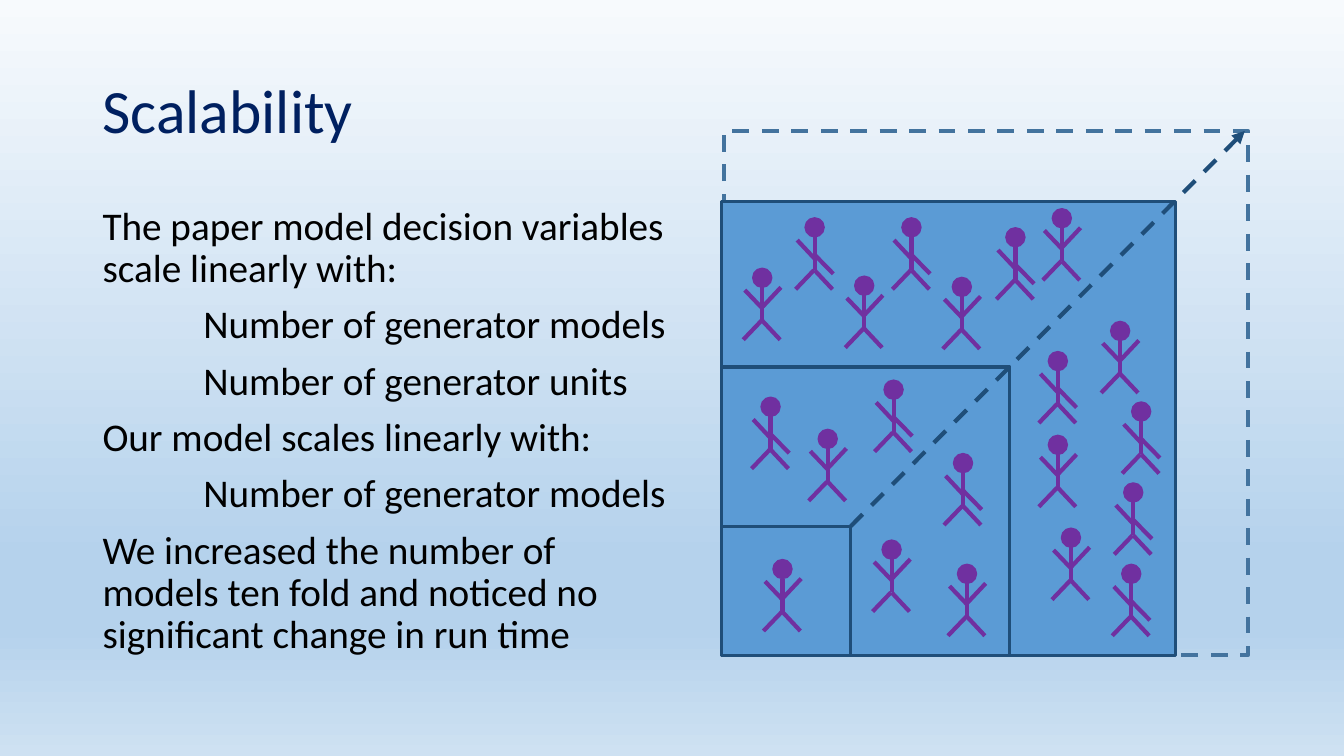
from copy import deepcopy

from pptx import Presentation
from pptx.dml.color import RGBColor
from pptx.enum import dml, shapes, text
from pptx.oxml.ns import qn
from pptx.oxml.xmlchemy import OxmlElement
from pptx.util import Cm, Pt

COLOURS = {
    "title": "002060", "body": "000000", "person": "7030A0",
    "square": "5B9BD5", "edge": "1F4E79", "growth": "43739E",
}
BACKGROUND = [(0, "F7FAFD"), (0.74, "B5D2EC"), (0.83, "B5D2EC"), (1, "CEE1F2")]
FONT = "Calibri"
TITLE = "Scalability"
BODY = [  # indent in cm, wording
    (0, "The paper model decision variables scale linearly with:"),
    (2.54, "Number of generator models"),
    (2.54, "Number of generator units"),
    (0, "Our model scales linearly with:"),
    (2.54, "Number of generator models"),
    (0, "We increased the number of models ten fold and noticed no "
        "significant change in run time"),
]

# All lengths below are in cm.
CORNER_LEFT, CORNER_BOTTOM = 18.19, 16.51
SQUARE_SIDES = [11.43, 7.26, 3.25]
GROWTH_LEFT, GROWTH_SIDE = 18.24, 13.21
ARROW_END = (31.37, 3.3)

HEAD = 0.48
TRUNK_AND_LEGS = [  # limbs as x1, y1, x2, y2 from the head's top left
    (0.24, 0.48, 0.24, 1.32), (0.24, 1.32, 0.69, 1.8), (-0.24, 1.8, 0.22, 1.32),
]
ARMS = {
    "waving": [(0.71, 0.48, 0.25, 0.97), (0.25, 1.02, -0.2, 0.55)],
    "walking": [(0.25, 0.94, 0.71, 1.41), (0.25, 1.04, -0.2, 0.56)],
}
PEOPLE = {  # top left of each head
    "waving": [
        (19.48, 14.1), (20.62, 10.82), (22.23, 13.61), (24.13, 14.22),
        (18.97, 6.76), (26.42, 10.97), (27.99, 8.1), (21.54, 6.96),
        (24, 6.99), (26.52, 5.26), (26.75, 13.31),
    ],
    "walking": [
        (26.42, 8.86), (20.29, 5.49), (28.52, 10.13), (22.73, 5.49),
        (25.35, 5.74), (28.32, 12.17), (28.27, 14.22), (24.03, 11.43),
        (22.28, 9.58), (19.18, 10.01),
    ],
}


def rgb(name):
    return RGBColor.from_string(COLOURS[name])


def style_line(line, colour, width, dashed=False):
    line.color.rgb = rgb(colour)
    line.width = Pt(width)
    if dashed:
        line.dash_style = dml.MSO_LINE.DASH


def add_preset(parent, kind, left, top, side, fill, edge, width, dashed=False):
    """Add a shape as wide as it is high; fill None leaves it hollow."""
    shape = parent.add_shape(kind, Cm(left), Cm(top), Cm(side), Cm(side))
    shape.shadow.inherit = False
    if fill:
        shape.fill.solid()
        shape.fill.fore_color.rgb = rgb(fill)
    else:
        shape.fill.background()
    style_line(shape.line, edge, width, dashed)


def add_straight(parent, ends, colour, dashed=False):
    connector = parent.add_connector(
        shapes.MSO_CONNECTOR.STRAIGHT, *[Cm(value) for value in ends])
    style_line(connector.line, colour, 3, dashed)
    connector._element.spPr.append(OxmlElement("a:effectLst"))
    return connector


def add_person(slide, left, top, pose):
    parts = slide.shapes.add_group_shape().shapes
    add_preset(parts, shapes.MSO_SHAPE.OVAL, left, top, HEAD, "person", "person", 1)
    for x1, y1, x2, y2 in TRUNK_AND_LEGS + ARMS[pose]:
        add_straight(parts, (left + x1, top + y1, left + x2, top + y2), "person")


def set_background(slide):
    fill = slide.background.fill
    fill.gradient()
    fill.gradient_angle = 270
    stop_list = next(slide._element.iter(qn("a:gsLst")))
    while len(stop_list) < len(BACKGROUND):
        stop_list.append(deepcopy(stop_list[0]))
    for stop, (position, colour) in zip(fill.gradient_stops, BACKGROUND):
        stop.position = position
        stop.color.rgb = RGBColor.from_string(colour)


def place(shape, left, top, width, height):
    shape.left, shape.top = Cm(left), Cm(top)
    shape.width, shape.height = Cm(width), Cm(height)
    shape.text_frame.word_wrap = True
    shape.text_frame.auto_size = text.MSO_AUTO_SIZE.NONE


def style_paragraph(paragraph, size, colour):
    paragraph.alignment = text.PP_ALIGN.LEFT
    paragraph.line_spacing = 0.9
    for run in paragraph.runs:
        run.font.name = FONT
        run.font.size = Pt(size)
        run.font.color.rgb = rgb(colour)


def write_text(slide):
    title, body = slide.placeholders
    place(title, 2.33, 1.01, 29.21, 3.68)
    title.text_frame.vertical_anchor = text.MSO_ANCHOR.MIDDLE
    title.text_frame.text = TITLE
    style_paragraph(title.text_frame.paragraphs[0], 44, "title")

    place(body, 2.33, 5.07, 15.01, 12.98)
    body.text_frame.text = "\n".join(wording for _, wording in BODY)
    for paragraph, (indent, _) in zip(body.text_frame.paragraphs, BODY):
        style_paragraph(paragraph, 28, "body")
        paragraph.space_before = Pt(10)
        properties = paragraph._p.get_or_add_pPr()
        properties.set("marL", str(Cm(indent)))
        properties.set("indent", "0")
        properties.append(OxmlElement("a:buNone"))


def draw_growth(slide):
    rectangle = shapes.MSO_SHAPE.RECTANGLE
    add_preset(slide.shapes, rectangle, GROWTH_LEFT, CORNER_BOTTOM - GROWTH_SIDE,
               GROWTH_SIDE, None, "growth", 3, dashed=True)
    for side in SQUARE_SIDES:
        add_preset(slide.shapes, rectangle, CORNER_LEFT, CORNER_BOTTOM - side,
                   side, "square", "edge", 2.25)
    smallest = SQUARE_SIDES[-1]
    start = (CORNER_LEFT + smallest, CORNER_BOTTOM - smallest)
    arrow = add_straight(slide.shapes, start + ARROW_END, "edge", dashed=True)
    arrowhead = OxmlElement("a:tailEnd")
    arrowhead.set("type", "triangle")
    arrow.line._get_or_add_ln().append(arrowhead)


def main():
    presentation = Presentation()
    presentation.slide_width, presentation.slide_height = Cm(33.87), Cm(19.05)
    slide = presentation.slides.add_slide(presentation.slide_layouts[1])
    set_background(slide)
    write_text(slide)
    draw_growth(slide)
    for pose, heads in PEOPLE.items():
        for left, top in heads:
            add_person(slide, left, top, pose)
    presentation.save("out.pptx")


if __name__ == "__main__":
    main()
